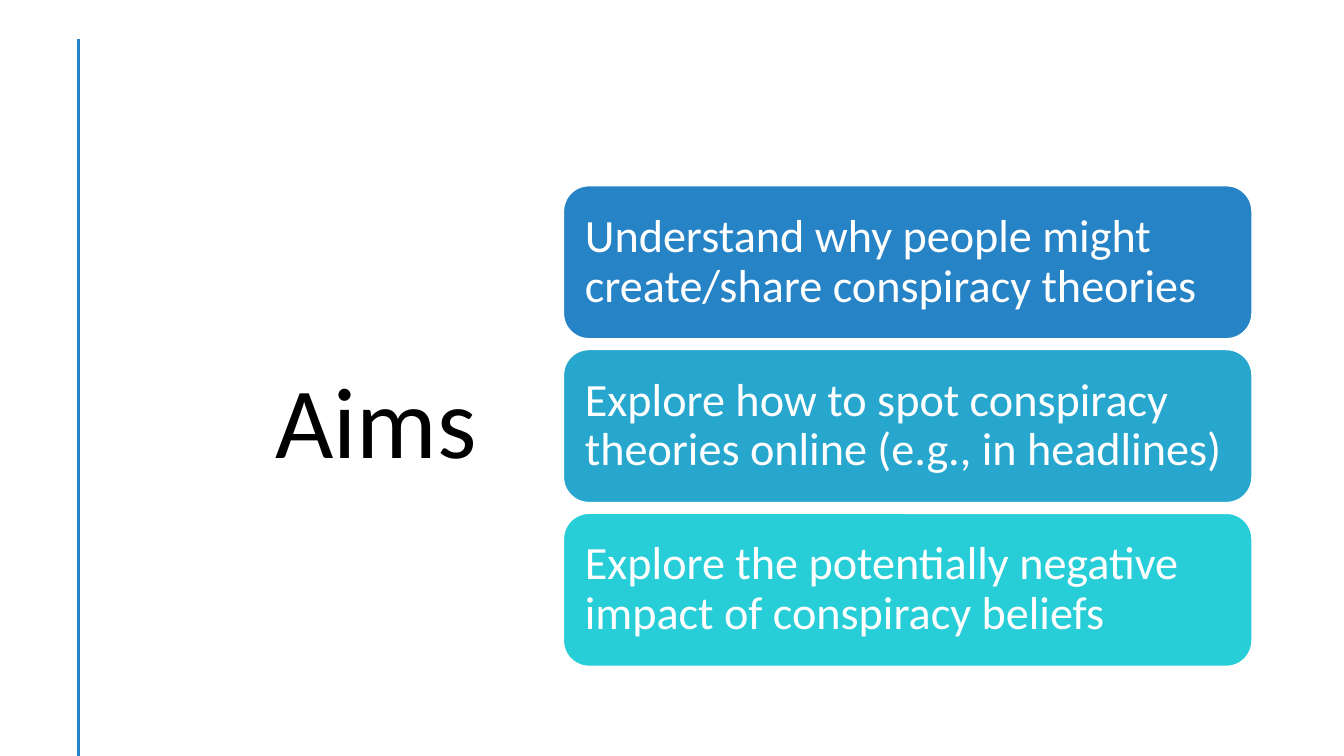
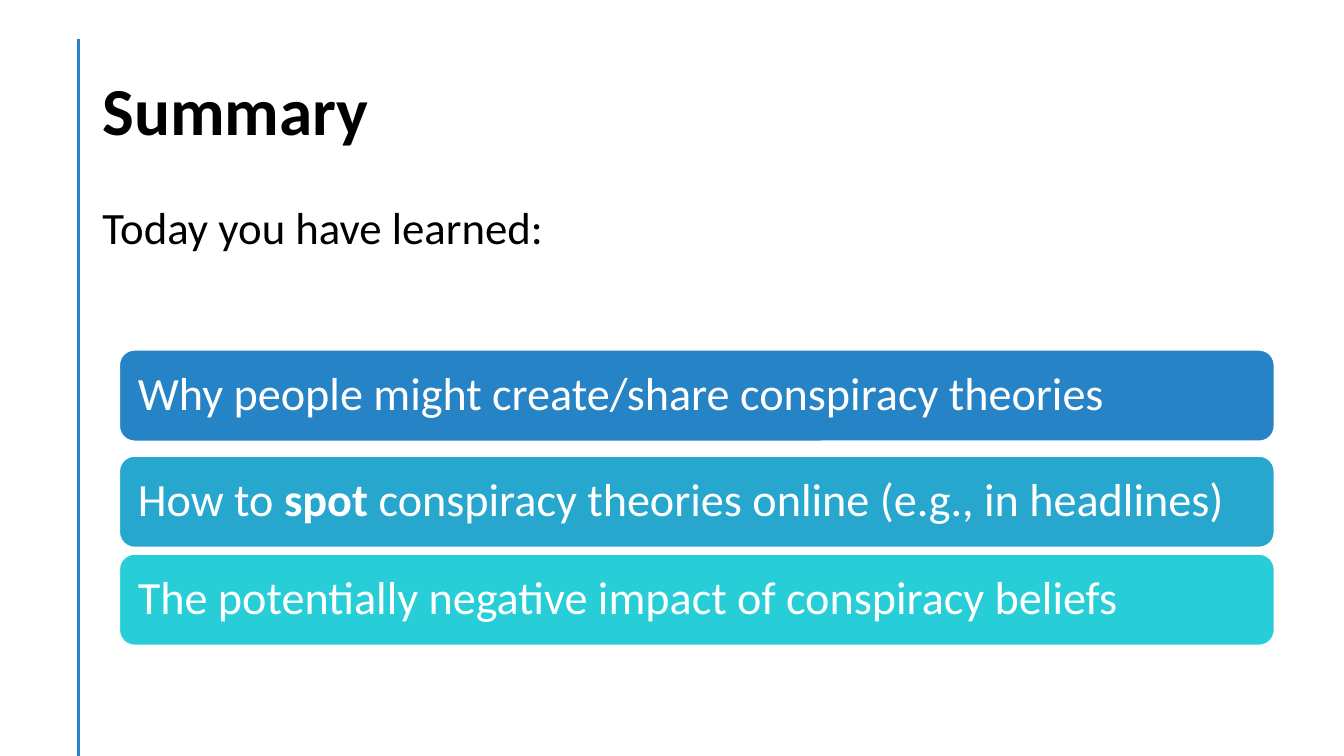
from dataclasses import dataclass
from pptx import Presentation
from pptx.dml.color import RGBColor
from pptx.enum.shapes import MSO_CONNECTOR as Connector, MSO_SHAPE as Shape
from pptx.enum.text import MSO_ANCHOR as Anchor, MSO_AUTO_SIZE as AutoSize, PP_ALIGN as Align
from pptx.oxml.ns import qn
from pptx.util import Pt
from lxml import etree


@dataclass(frozen=True)
class Theme:
    font: str = "Calibri"
    black: RGBColor = RGBColor(0, 0, 0)
    white: RGBColor = RGBColor(255, 255, 255)
    cards: tuple = tuple(map(RGBColor.from_string, ("2683C6", "27A7CE", "27CED7")))
    aims_size: int = 72
    summary_size: int = 48
    intro_size: int = 32
    card_size: int = 33
    line_spacing: float = 0.9


theme = Theme()


def format_text(frame, size, color, align=Align.LEFT, anchor=Anchor.MIDDLE):
    frame.word_wrap = True
    frame.auto_size = AutoSize.NONE
    frame.vertical_anchor = anchor
    paragraph = frame.paragraphs[0]
    paragraph.alignment = align
    paragraph.line_spacing = theme.line_spacing
    paragraph.font.name = theme.font
    paragraph.font.size = Pt(size)
    paragraph.font.color.rgb = color
    return paragraph


presentation = Presentation()
presentation.slide_width = Pt(960)
presentation.slide_height = Pt(540)

contents = [
    dict(title="Aims", title_box=(37.4, 84.2, 310.3, 439.9),
         size=theme.aims_size, align=Align.RIGHT, bold=False, intro=None,
         left=402.5, width=491.8, height=109.3, tops=[132.7 + 117 * row for row in range(3)],
         cards=[["Understand why people might create/share conspiracy theories"],
                ["Explore how to spot conspiracy theories online (e.g., in headlines)"],
                ["Explore the potentially negative impact of conspiracy beliefs"]]),
    dict(title="Summary", title_box=(66, 28.75, 828, 104.4),
         size=theme.summary_size, align=Align.LEFT, bold=True, intro="Today you have learned:",
         left=85.3, width=825, height=65.2, tops=[250, 325.8, 395.8],
         cards=[["Why people might create/share conspiracy theories"],
                ["How to ", "spot", " conspiracy theories online (e.g., in headlines)"],
                ["The potentially negative impact of conspiracy beliefs"]]),
]

for content in contents:
    slide = presentation.slides.add_slide(presentation.slide_layouts[5])

    side_line = slide.shapes.add_connector(Connector.STRAIGHT, Pt(56.2), Pt(28), Pt(56.2), Pt(540))
    side_line.line.color.rgb = theme.cards[0]
    side_line.line.width = Pt(2)
    etree.SubElement(side_line.line._get_or_add_ln().getparent(), qn("a:effectLst"))

    title = slide.shapes.title
    title.left, title.top, title.width, title.height = map(Pt, content["title_box"])
    title.text_frame.text = content["title"]
    paragraph = format_text(title.text_frame, content["size"], theme.black, content["align"])
    paragraph.font.bold = content["bold"]

    if content["intro"]:
        intro = slide.shapes.add_textbox(Pt(66), Pt(143.75), Pt(828), Pt(342.6))
        intro.text_frame.text = content["intro"]
        paragraph = format_text(intro.text_frame, theme.intro_size, theme.black, anchor=Anchor.TOP)
        paragraph.space_before = Pt(10)

    for top, color, texts in zip(content["tops"], theme.cards, content["cards"]):
        card = slide.shapes.add_shape(Shape.ROUNDED_RECTANGLE, Pt(content["left"]), Pt(top),
                                      Pt(content["width"]), Pt(content["height"]))
        card.shadow.inherit = False
        card.fill.solid()
        card.fill.fore_color.rgb = color
        card.line.color.rgb = theme.white
        card.line.width = Pt(1)
        frame = card.text_frame
        frame.margin_left = frame.margin_right = frame.margin_top = frame.margin_bottom = Pt(10)
        paragraph = format_text(frame, theme.card_size, theme.white)
        for text in texts:
            run = paragraph.add_run()
            run.text = text
            if text == "spot":
                run.font.bold = True

presentation.save("out.pptx")
